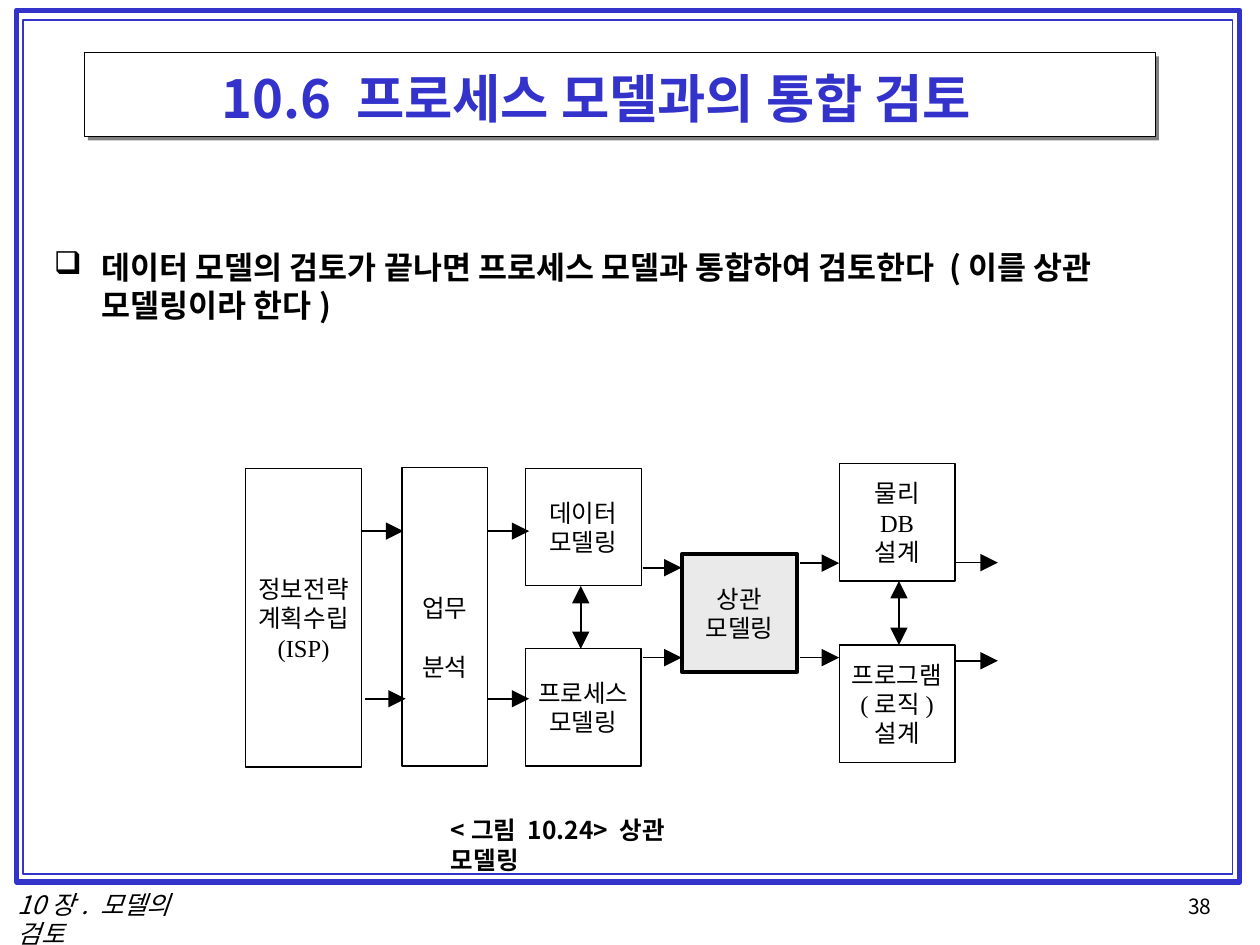
from dataclasses import dataclass
from itertools import groupby
from typing import NamedTuple

from lxml import etree
from pptx import Presentation
from pptx.dml.color import RGBColor
from pptx.enum.shapes import MSO_CONNECTOR, MSO_SHAPE
from pptx.enum.text import MSO_ANCHOR, PP_ALIGN
from pptx.oxml.ns import qn
from pptx.util import Pt

RECTANGLE = MSO_SHAPE.RECTANGLE
STRAIGHT = MSO_CONNECTOR.STRAIGHT
TOP, MIDDLE = MSO_ANCHOR.TOP, MSO_ANCHOR.MIDDLE
LEFT, CENTER = PP_ALIGN.LEFT, PP_ALIGN.CENTER


@dataclass(frozen=True)
class Theme:
    blue: RGBColor = RGBColor(0x33, 0x33, 0xCC)
    black: RGBColor = RGBColor(0, 0, 0)
    white: RGBColor = RGBColor(0xFF, 0xFF, 0xFF)
    gray: RGBColor = RGBColor(0x80, 0x80, 0x80)
    pale: RGBColor = RGBColor(0xEA, 0xEA, 0xEA)
    korean: str = "Noto Sans CJK KR"
    serif: str = "Times New Roman"
    title: float = 30
    body: float = 18
    label: float = 14
    footer: float = 14.5
    number: float = 12


class Box(NamedTuple):
    left: float
    top: float
    width: float
    height: float

    def inside(self, left, top, width, height):
        """Return a box given relative to this one."""
        return Box(self.left + left, self.top + top, width, height)

    def points(self):
        return [Pt(value) for value in self]


THEME = Theme()


def set_all(target, values):
    for name, value in values.items():
        setattr(target, name, value)


def add_rect(page, box, fill=None, line=None, weight=0.72):
    shape = page.shapes.add_shape(RECTANGLE, *box.points())
    shape.shadow.inherit = False
    if fill is None:
        shape.fill.background()
    else:
        shape.fill.solid()
        shape.fill.fore_color.rgb = fill
    if line is None:
        shape.line.fill.background()
    else:
        shape.line.color.rgb = line
        shape.line.width = Pt(weight)
    return shape


def prepare_frame(shape, anchor=TOP, top=0, left=0, right=0):
    frame = shape.text_frame
    set_all(frame, {
        "word_wrap": True, "vertical_anchor": anchor,
        "margin_left": Pt(left), "margin_right": Pt(right),
        "margin_top": Pt(top), "margin_bottom": 0,
    })
    return frame


def add_span(para, text, size, color=THEME.black, font=THEME.korean, **style):
    span = para.add_run()
    span.text = text
    set_all(span.font, {"name": font, "size": Pt(size), **style})
    span.font.color.rgb = color
    east_asian = etree.SubElement(span.font._element, qn("a:ea"))
    east_asian.set("typeface", THEME.korean)


def add_text(page, box, text, size, spacing=None, anchor=TOP, left=0,
             right=0, **style):
    """Add a left-aligned text box with one paragraph and return the paragraph."""
    shape = page.shapes.add_textbox(*box.points())
    para = prepare_frame(shape, anchor, 0.7, left, right).paragraphs[0]
    para.alignment = LEFT
    if spacing:
        para.line_spacing = Pt(spacing)
    add_span(para, text, size, **style)
    return para


def add_arrow(page, start, end, both=False):
    line = page.shapes.add_connector(
        STRAIGHT, *[Pt(value) for value in (*start, *end)])
    line.line.color.rgb = THEME.black
    line.line.width = Pt(1)
    outline = line.line._get_or_add_ln()
    for tag in ["a:headEnd", "a:tailEnd"] if both else ["a:tailEnd"]:
        tip = etree.SubElement(outline, qn(tag))
        for name, value in {"type": "triangle", "w": "lg", "len": "lg"}.items():
            tip.set(name, value)
    etree.SubElement(line._element.spPr, qn("a:effectLst"))


def draw_border(page, box):
    add_rect(page, box, line=THEME.blue, weight=3)
    add_rect(page, box.inside(3.8, 5.6, box.width - 7.9, box.height - 10),
             line=THEME.blue, weight=0.96)


def draw_title(page, box, text):
    add_rect(page, box.inside(2, 2, box.width, box.height), fill=THEME.gray)
    add_rect(page, box, fill=THEME.white, line=THEME.black)
    add_text(page, box.inside(0, 5.8, box.width, 38.2), text, THEME.title,
             anchor=MIDDLE, left=78.5, color=THEME.blue, bold=True)


def draw_bullet(page, box, text):
    para = add_text(page, box, text, THEME.body, spacing=21.6, bold=True)
    settings = para._p.get_or_add_pPr()
    settings.set("marL", str(Pt(28)))
    settings.set("indent", str(Pt(-27.4)))
    etree.SubElement(settings, qn("a:buChar")).set("char", "❑")


def draw_node(page, box, lines, gap=0, top=0, fill=None, weight=0.72):
    """Draw a flow step; Latin text takes the serif face."""
    shape = add_rect(page, box, fill, THEME.black, weight)
    frame = prepare_frame(shape, MIDDLE, top)
    for index, line in enumerate(lines):
        para = frame.add_paragraph() if index else frame.paragraphs[0]
        set_all(para, {"alignment": CENTER, "line_spacing": Pt(16.8),
                       "space_before": Pt(gap if index else 0)})
        for is_latin, letters in groupby(line, str.isascii):
            font = THEME.serif if is_latin else THEME.korean
            add_span(para, "".join(letters), THEME.label, font=font)


def draw_flow(page, box):
    side = 66.2
    tall = 170.6
    planning, analysis, modeling, relating, design = 0, 89.3, 159.8, 249.1, 339.1
    nodes = [
        ((planning, 2.8, side, tall), ["정보전략", "계획수립", "(ISP)"], {}),
        ((analysis, 2.2, 49, tall), ["업무", "분석"], {"gap": 16.8, "top": 23}),
        ((modeling, 2.8, side, 67), ["데이터", "모델링"], {"weight": 0.48}),
        ((modeling, 105.8, side, 67), ["프로세스", "모델링"], {}),
        ((relating, 51.8, side, 67), ["상관", "모델링"],
         {"fill": THEME.pale, "weight": 2.28}),
        ((design, 0, side, 67), ["물리", "DB", "설계"], {}),
        ((design, 103.6, side, 67), ["프로그램", "(로직)", "설계"], {}),
    ]
    for place, lines, options in nodes:
        draw_node(page, box.inside(*place), lines, **options)

    across = [
        (66.2, 90, 38.5), (68.4, 91.4, 134.3),
        (138.2, 162, 38.5), (138.2, 162, 134.3),
        (226.8, relating, 59.4), (226.8, relating, 110.8),
        (316.8, design, 56.8), (316.8, design, 110.8),
        (405.4, 429.8, 56.5), (405.4, 429.8, 112.6),
    ]
    for start, end, y in across:
        add_arrow(page, (box.left + start, box.top + y),
                  (box.left + end, box.top + y))
    for x, start, end in [(191.5, 69.8, 105.8), (373.3, 67, 103.6)]:
        add_arrow(page, (box.left + x, box.top + start),
                  (box.left + x, box.top + end), both=True)


def draw_footer(page, box, chapter, number):
    add_text(page, box.inside(0, 0, 116.6, 16.6), chapter, THEME.footer,
             spacing=16.6, left=0.7, right=6, italic=True)
    add_text(page, box.inside(box.width - 20.9, 2.2, 20.9, 13.7), number,
             THEME.number, spacing=13.7, left=2.9)


def main():
    deck = Presentation()
    set_all(deck, {"slide_width": Pt(720), "slide_height": Pt(540)})
    page = deck.slides.add_slide(deck.slide_layouts[6])
    draw_border(page, Box(9.4, 5.8, 699.1, 498.2))
    draw_title(page, Box(48.2, 30.2, 612, 48), "10.6 프로세스 모델과의 통합 검토")
    draw_bullet(page, Box(30.2, 141.1, 635.8, 45.4),
                "데이터 모델의 검토가 끝나면 프로세스 모델과 통합하여 검토한다 "
                "(이를 상관 모델링이라 한다)")
    draw_flow(page, Box(140.4, 265, 430, 173.4))
    add_text(page, Box(257, 465.1, 167, 18.7), "<그림 10.24> 상관 모델링",
             THEME.label, spacing=16.8, left=0.7, right=6, bold=True)
    draw_footer(page, Box(9.4, 508.3, 687.6, 16.6), "10장. 모델의 검토", "38")
    deck.save("out.pptx")


if __name__ == "__main__":
    main()
